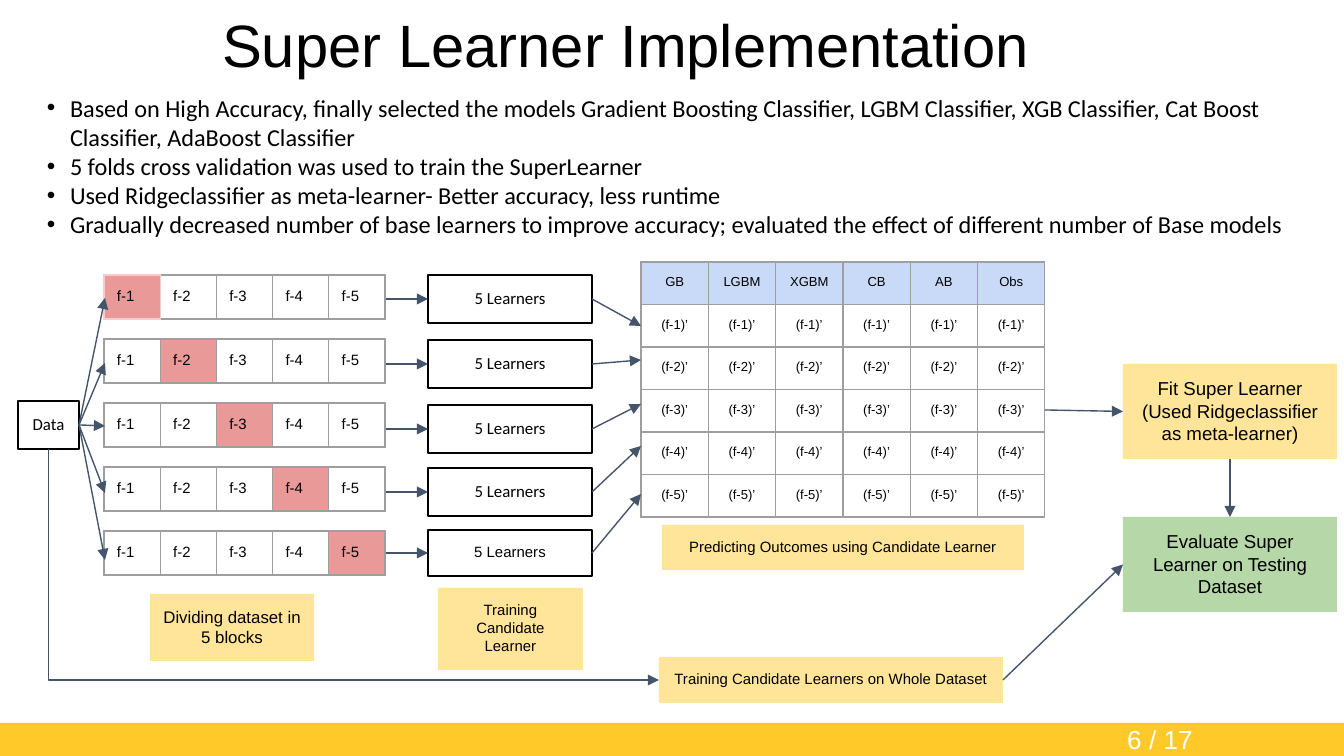
import pptx
import pptx.dml.color
import pptx.enum.shapes
import pptx.enum.text
import pptx.oxml.ns
import pptx.util
from lxml import etree

PX = 914400 / 134.4
COLORS = {
    "black": "000000", "white": "FFFFFF", "bar": "FFCA29", "held_out": "EA9999",
    "held_out_edge": "F4CCCC", "grid": "9E9E9E", "header": "C9DAF8",
    "label": "FFE599", "result": "B6D7A8", "arrow": "44546A",
}
ALIGN = pptx.enum.text.PP_ALIGN
ANCHOR = pptx.enum.text.MSO_ANCHOR
FOLDS = range(1, 6)
BULLETS = [
    "Based on High Accuracy, finally selected the models Gradient Boosting Classifier, "
    "LGBM Classifier, XGB Classifier, Cat Boost Classifier, AdaBoost Classifier",
    "5 folds cross validation was used to train the SuperLearner",
    "Used Ridgeclassifier as meta-learner- Better accuracy, less runtime",
    "Gradually decreased number of base learners to improve accuracy; "
    "evaluated the effect of different number of Base models",
]


def px(length):
    return pptx.util.Emu(round(length * PX))


def rgb(name):
    return pptx.dml.color.RGBColor.from_string(COLORS[name])


def add_xml(parent, tag, **attributes):
    return etree.SubElement(parent, pptx.oxml.ns.qn(tag), attributes)


def style_font(paragraph, size, name="Arial", color="black"):
    paragraph.font.size = pptx.util.Pt(size)
    paragraph.font.name = name
    paragraph.font.color.rgb = rgb(color)


def write(frame, lines, size, name="Arial", color="black", align=ALIGN.CENTER,
          anchor=ANCHOR.TOP, margins=(13, 13), bullet=False):
    frame.word_wrap = True
    frame.vertical_anchor = anchor
    frame.margin_left = frame.margin_right = px(margins[0])
    frame.margin_top = frame.margin_bottom = px(margins[1])
    for index, line in enumerate(lines):
        paragraph = frame.add_paragraph() if index else frame.paragraphs[0]
        paragraph.text = line
        paragraph.alignment = align
        if bullet:
            properties = paragraph._p.get_or_add_pPr()
            properties.set("marL", str(px(26)))
            properties.set("indent", str(px(-23)))
            add_xml(properties, "a:buFont", typeface="Arial")
            add_xml(properties, "a:buChar", char="•")
        style_font(paragraph, size, name, color)


def add_text(slide, box, lines, size, **options):
    shape = slide.shapes.add_textbox(*map(px, box))
    write(shape.text_frame, lines, size, margins=(13, 7), **options)
    return shape


def add_box(slide, box, lines, size, fill=None, name="Arial"):
    shape = slide.shapes.add_shape(pptx.enum.shapes.MSO_SHAPE.RECTANGLE, *map(px, box))
    shape.shadow.inherit = False
    if fill:
        shape.fill.solid()
        shape.fill.fore_color.rgb = rgb(fill)
        shape.line.fill.background()
    else:
        shape.fill.background()
        shape.line.color.rgb = rgb("black")
        shape.line.width = pptx.util.Pt(0.75)
    write(shape.text_frame, lines, size, name)
    return shape


def style_cell(cell, text, size, align, fill, borders):
    cell.margin_left = cell.margin_right = px(13)
    cell.margin_top = cell.margin_bottom = px(13)
    properties = cell._tc.get_or_add_tcPr()
    for side, color in zip("LRTB", borders):
        line = add_xml(properties, "a:ln" + side, w=str(pptx.util.Pt(0.75)))
        add_xml(add_xml(line, "a:solidFill"), "a:srgbClr", val=COLORS[color])
    if fill:
        cell.fill.solid()
        cell.fill.fore_color.rgb = rgb(fill)
    else:
        cell.fill.background()
    paragraph = cell.text_frame.paragraphs[0]
    paragraph.text = text
    paragraph.alignment = align
    style_font(paragraph, size)


def add_grid(slide, box, rows, columns):
    table = slide.shapes.add_table(rows, columns, *map(px, box)).table
    for column in table.columns:
        column.width = px(box[2] / columns)
    for row in table.rows:
        row.height = px(box[3] / rows)
    return table


def add_arrow(slide, start, end, bent=False):
    kinds = pptx.enum.shapes.MSO_CONNECTOR
    connector = slide.shapes.add_connector(kinds.ELBOW if bent else kinds.STRAIGHT, 0, 0, 0, 0)
    if isinstance(start[0], int):
        connector.begin_x, connector.begin_y = map(px, start)
    else:
        connector.begin_connect(*start)
    if isinstance(end[0], int):
        connector.end_x, connector.end_y = map(px, end)
    else:
        connector.end_connect(*end)
    connector.line.color.rgb = rgb("arrow")
    connector.line.width = pptx.util.Pt(0.75)
    add_xml(connector.line._get_or_add_ln(), "a:tailEnd", type="triangle")
    add_xml(connector._element.spPr, "a:effectLst")
    return connector


def add_down_then_right_arrow(slide, start, end):
    connector = add_arrow(slide, start, end, bent=True)
    left, top, width, height = connector.left, connector.top, connector.width, connector.height
    connector.left = left + (width - height) // 2
    connector.top = top + (height - width) // 2
    connector.width, connector.height = height, width
    connector.rotation = 270
    properties = connector._element.spPr
    properties.find(pptx.oxml.ns.qn("a:xfrm")).set("flipH", "1")
    properties.find(pptx.oxml.ns.qn("a:prstGeom")).set("prst", "bentConnector2")


def add_header(slide, box):
    left, top, width, height = box
    title = add_text(slide, (left + 27, top, 1153, 95), ["Super Learner Implementation "], 32,
                     anchor=ANCHOR.MIDDLE)
    title.text_frame.paragraphs[0].line_spacing = 0.9
    add_text(slide, (left, top + 85, width, height - 85), BULLETS, 13, name="Calibri",
             align=ALIGN.LEFT, bullet=True)


def add_footer(slide, box):
    left, top, width, height = box
    add_box(slide, box, [], 14, "bar")
    add_text(slide, (left + 1098, top, 124, height), ["6 / 17"], 14, color="white",
             anchor=ANCHOR.MIDDLE)


def add_folds(slide, box):
    left, top, width, height = box
    for row in FOLDS:
        row_box = (left, top + 64 * (row - 1), width, 44)
        table = add_grid(slide, row_box, 1, len(FOLDS))
        for column in FOLDS:
            borders = ["grid"] * 4
            if row == 1 and column == 1:
                borders = ["held_out_edge"] * 4
            elif row == 1 and column == 2:
                borders[0] = "held_out_edge"
            style_cell(table.cell(0, column - 1), f"f-{column}", 8, ALIGN.LEFT,
                       "held_out" if row == column else None, borders)
    add_box(slide, (left + 46, top + 319, 164, 67), ["Dividing dataset in 5 blocks"], 9, "label")


def add_learners(slide, box):
    left, top, width, height = box
    learners = []
    for offset in (0, 65, 130, 193, 255):
        last = offset == 255
        learners.append(add_box(slide, (left, top + offset, width, 46 if last else 48),
                                ["5 Learners"], 8 if last else 9,
                                name="Arial" if last else "Calibri"))
    add_box(slide, (left + 10, top + 313, 145, 82), ["Training Candidate Learner"], 8, "label")
    return learners


def add_outcomes(slide, box):
    left, top, width, height = box
    headings = ["GB", "LGBM", "XGBM", "CB", "AB", "Obs"]
    rows = [headings] + [[f"(f-{fold})’"] * len(headings) for fold in FOLDS]
    table = add_grid(slide, box, len(rows), len(headings))
    for row, texts in enumerate(rows):
        for column, text in enumerate(texts):
            style_cell(table.cell(row, column), text, 7, ALIGN.CENTER,
                       None if row else "header", ["grid"] * 4)
    add_box(slide, (left + 21, top + 263, 362, 45),
            ["Predicting Outcomes using Candidate Learner"], 8, "label")
    return add_box(slide, (left + 18, top + 395, 344, 46),
                   ["Training Candidate Learners on Whole Dataset"], 8, "label")


def add_final_steps(slide, box):
    left, top, width, height = box
    fit = add_box(slide, (left, top, width, 95),
                  ["Fit Super Learner", "(Used Ridgeclassifier as meta-learner)"], 10, "label")
    evaluate = add_box(slide, (left, top + height - 95, width, 95),
                       ["Evaluate Super Learner on Testing Dataset"], 10, "result")
    return fit, evaluate


def add_arrows(slide, data, learners, whole, fit, evaluate):
    fold_entries = (298, 363, 426, 493, 560)
    outcome_entries = (326, 360, 404, 446, 494)
    for learner, fold_y, outcome_y in zip(learners, fold_entries, outcome_entries):
        learner_y = round((learner.top + learner.height / 2) / PX)
        add_arrow(slide, (data, 3), (105, fold_y))
        add_arrow(slide, (386, learner_y), (learner, 1))
        add_arrow(slide, (learner, 3), (641, outcome_y))
    add_arrow(slide, (1045, 410), (fit, 1))
    add_arrow(slide, (whole, 3), (evaluate, 1))
    add_arrow(slide, (fit, 2), (evaluate, 0))
    add_down_then_right_arrow(slide, (data, 2), (whole, 1))


def main():
    presentation = pptx.Presentation()
    presentation.slide_width, presentation.slide_height = px(1344), px(756)
    slide = presentation.slides.add_slide(presentation.slide_layouts[6])
    add_header(slide, (31, 1, 1292, 326))
    add_footer(slide, (0, 723, 1344, 33))
    add_folds(slide, (104, 275, 281, 300))
    learners = add_learners(slide, (428, 275, 164, 301))
    whole = add_outcomes(slide, (641, 262, 404, 255))
    data = add_box(slide, (18, 401, 61, 48), ["Data"], 9, name="Calibri")
    fit, evaluate = add_final_steps(slide, (1123, 364, 214, 248))
    add_arrows(slide, data, learners, whole, fit, evaluate)
    presentation.save("out.pptx")


if __name__ == "__main__":
    main()
